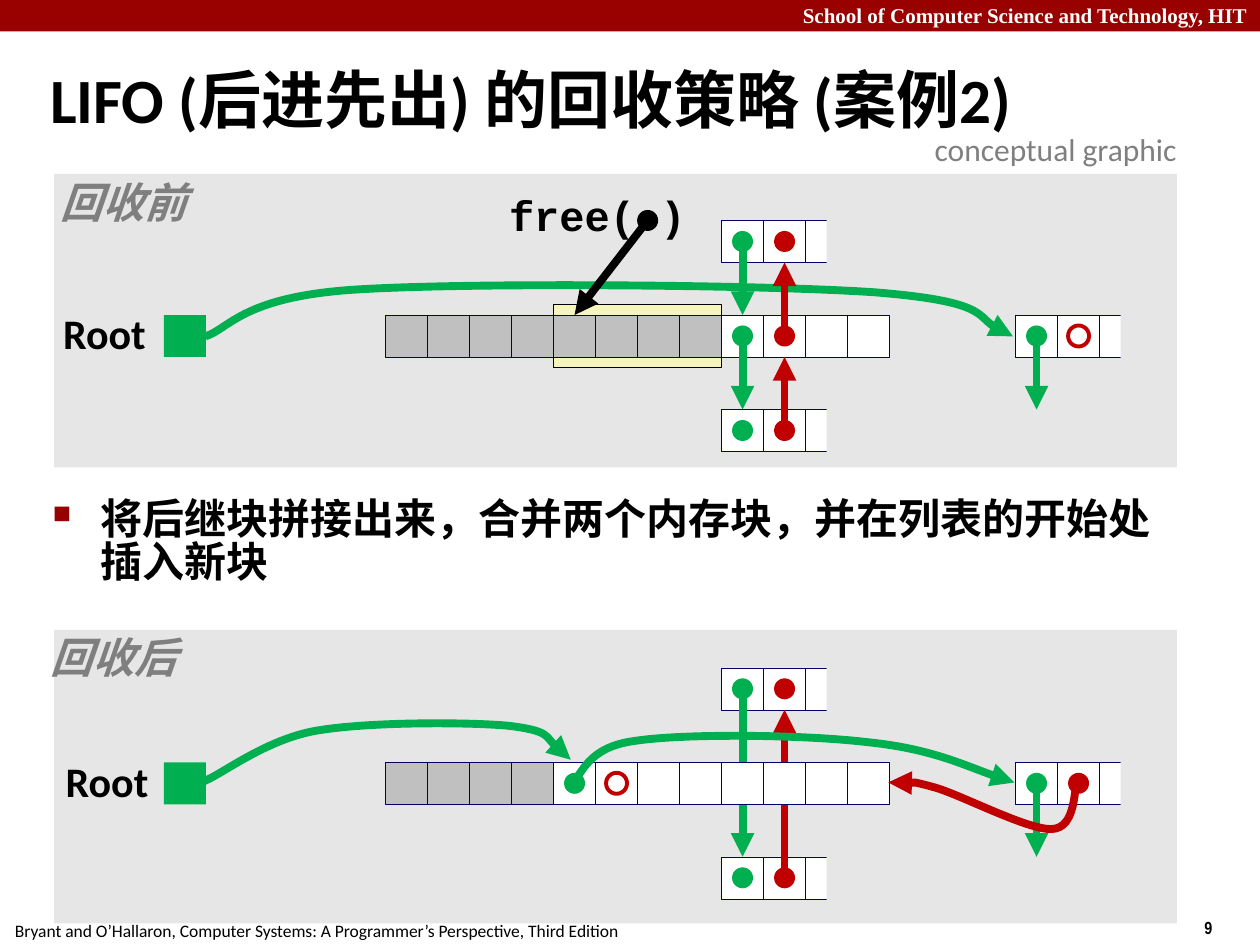
from dataclasses import dataclass

from lxml import etree
from pptx import Presentation
from pptx.dml.color import RGBColor
from pptx.enum.shapes import MSO_CONNECTOR, MSO_SHAPE
from pptx.enum.text import MSO_ANCHOR, PP_ALIGN
from pptx.oxml.ns import qn
from pptx.util import Inches, Pt

RECT, OVAL = MSO_SHAPE.RECTANGLE, MSO_SHAPE.OVAL
STRAIGHT = MSO_CONNECTOR.STRAIGHT
LEFT, CENTER, RIGHT = PP_ALIGN.LEFT, PP_ALIGN.CENTER, PP_ALIGN.RIGHT
TOP, BOTTOM = 0, 2  # connection sites of a rectangle


@dataclass(frozen=True)
class Theme:
    brand: str = "990000"
    panel: str = "E6E6E6"
    block: str = "F6F5BD"
    used: str = "C0C0C0"
    free: str = "FFFFFF"
    edge: str = "000066"
    next: str = "00B050"
    prev: str = "C00000"
    ink: str = "000000"
    muted: str = "7F7F7F"
    font: str = "Calibri"
    title: int = 36
    body: int = 24
    note: int = 18
    header: int = 12
    footer: int = 10
    arrow: float = 4.5


T = Theme()
W, H = 10, 7.5
CELL = 1 / 3
DOT = CELL / 2
GRID_LEFT = 3.06
LEVEL = 0.75      # distance between neighbouring rows of blocks
LIST_COL = 15     # first column of the old list head
NEXT_COL = 8      # first column of the following free block
ROOT_LEFT = 1.3


def rgb(color):
    return RGBColor.from_string(color)


def col_x(col):
    return GRID_LEFT + col * CELL


def style(sp, fill=None, line=None, width=0.25):
    sp.shadow.inherit = False
    if fill:
        sp.fill.solid()
        sp.fill.fore_color.rgb = rgb(fill)
    else:
        sp.fill.background()
    if line:
        sp.line.color.rgb = rgb(line)
        sp.line.width = Pt(width)
    else:
        sp.line.fill.background()
    return sp


def box(s, kind, x, y, w, h, *args):
    return style(s.shapes.add_shape(kind, Inches(x), Inches(y), Inches(w), Inches(h)), *args)


def cells(s, col, y, colors):
    return [box(s, RECT, col_x(col + i), y, CELL, CELL, color, T.edge)
            for i, color in enumerate(colors)]


def stub(s, col, y):
    """Three cells, the last one cut in half: a block that goes on."""
    row = cells(s, col, y, [T.free] * 3)
    box(s, RECT, col_x(col + 2.5), y - CELL / 4, CELL, CELL * 1.5, T.panel)
    return row


def center(col, y):
    return col_x(col + 0.5), y + CELL / 2


def dot(s, at, color, hollow=False):
    x, y = at
    paint = (None, color, 2.25) if hollow else (color,)
    box(s, OVAL, x - DOT / 2, y - DOT / 2, DOT, DOT, *paint)


def add_arrowhead(sp):
    etree.SubElement(sp.element.spPr.find(qn("a:ln")), qn("a:tailEnd"), type="triangle")


def arrow(s, start, end, color, target=None, site=TOP):
    cx = s.shapes.add_connector(STRAIGHT, *(Inches(v) for v in (*start, *end)))
    if target is not None:
        cx.end_connect(target, site)
    cx.line.color.rgb = rgb(color)
    cx.line.width = Pt(T.arrow)
    add_arrowhead(cx)
    etree.SubElement(cx.element.spPr, qn("a:effectLst"))


def pointer(s, start, target, site, color):
    """Arrow from a dot straight to the top or bottom of a cell."""
    y = target.top + (target.height if site == BOTTOM else 0)
    arrow(s, start, (start[0], y / Inches(1)), color, target, site)


def curve(s, points, color):
    """Cubic curve: a start, then two handles and an end for each piece."""
    start, *rest = [(Inches(x), Inches(y)) for x, y in points]
    fb = s.shapes.build_freeform(*start)
    fb.add_line_segments(rest, close=False)
    sp = style(fb.convert_to_shape(), None, color, T.arrow)
    path = next(sp.element.iter(qn("a:path")))
    steps = path.findall(qn("a:lnTo"))
    for i in range(0, len(steps), 3):
        bez = etree.SubElement(path, qn("a:cubicBezTo"))
        for step in steps[i:i + 3]:
            bez.append(step[0])
            path.remove(step)
    add_arrowhead(sp)


def text(s, words, x, y, w, h, size, color=T.ink, font=T.font, bold=False, italic=False,
         align=LEFT, spacing=None, inset=0.1, wrap=False):
    tf = s.shapes.add_textbox(Inches(x), Inches(y), Inches(w), Inches(h)).text_frame
    tf.word_wrap = wrap
    tf.margin_left = tf.margin_right = Inches(inset)
    p = tf.paragraphs[0]
    p.text = words
    p.alignment = align
    if spacing:
        p.line_spacing = spacing
    f = p.font
    f.size, f.name, f.bold, f.italic = Pt(size), font, bold, italic
    f.color.rgb = rgb(color)
    return tf


def label(s, words, x, y, w, **look):
    text(s, words, x, y, w, 0.46, T.body, bold=True, align=CENTER, spacing=0.9, inset=0.05, **look)


def hang(p, indent):
    pPr = p._p.get_or_add_pPr()
    pPr.set("marL", str(Inches(indent)))
    pPr.set("indent", str(-Inches(indent)))
    return pPr


def add_bullet(p, indent):
    pPr = hang(p, indent)
    clr, size, char = (etree.Element(qn(f"a:{tag}")) for tag in ("buClr", "buSzPct", "buChar"))
    etree.SubElement(clr, qn("a:srgbClr"), val=T.brand)
    size.set("val", "60000")
    char.set("char", "■")
    for el in (clr, size, char):
        pPr.find(qn("a:defRPr")).addprevious(el)


def frame(s):
    box(s, RECT, 0, 0, W, H / 30, T.brand)
    text(s, "School of Computer Science and Technology, HIT", 0, -0.03, W, 0.3, T.header,
         T.free, "Times New Roman", bold=True, align=RIGHT, wrap=True)
    text(s, "9", 9.46, 7.23, 0.75, 0.27, T.footer, font="Arial Narrow", bold=True)
    text(s, "Bryant and O’Hallaron, Computer Systems: A Programmer’s Perspective, Third Edition",
         0.02, 7.25, 5.01, 0.27, T.footer)


def wording(s):
    tf = text(s, "LIFO (后进先出) 的回收策略 (案例2)", 0.3, 0.39, 9.53, 0.86, T.title,
              bold=True, spacing=0.87, wrap=True)
    tf.vertical_anchor = MSO_ANCHOR.MIDDLE
    hang(tf.paragraphs[0], 0.13)
    tf = text(s, "将后继块拼接出来，合并两个内存块，并在列表的开始处插入新块", 0.32, 3.92, 9.09, 0.86,
              T.body, bold=True, spacing=0.85, wrap=True)
    tf.paragraphs[0].space_before = Pt(6)
    add_bullet(tf.paragraphs[0], 0.38)
    text(s, "conceptual graphic", 7.32, 0.98, 2.13, 0.4, T.note, T.muted)


def panel(s, y):
    box(s, RECT, 0.43, y, 8.91, 2.33, T.panel)


def neighbours(s, y):
    """Blocks above and below the following block, with their dots."""
    above, below = (stub(s, NEXT_COL, y + d) for d in (-LEVEL, LEVEL))
    for d in (-LEVEL, LEVEL):
        dot(s, center(NEXT_COL, y + d), T.next)
        dot(s, center(NEXT_COL + 1, y + d), T.prev)
    return above, below


def list_ends(s, y, root_x):
    """Root on the left and the old list head on the right."""
    box(s, RECT, ROOT_LEFT, y, CELL, CELL, T.next)
    label(s, "Root", root_x, y - 0.06, 0.76)
    stub(s, LIST_COL, y)
    start = center(LIST_COL, y)
    dot(s, start, T.next)
    arrow(s, start, (start[0], y + LEVEL), T.next)


def before(s, y):
    panel(s, 1.38)
    box(s, RECT, col_x(4), y - CELL / 4, 4 * CELL, CELL * 1.5, T.block, T.ink, 0.75)
    curve(s, [(1.63, 2.67), (1.82, 2.61), (1.92, 2.36), (2.8, 2.3), (3.69, 2.24), (6.06, 2.26),
              (6.94, 2.32), (7.81, 2.39), (7.81, 2.6), (8.04, 2.67)], T.next)
    heap = cells(s, 0, y, [T.used] * 8 + [T.free] * 4)
    above, below = neighbours(s, y)
    nxt, prv = center(NEXT_COL, y), center(NEXT_COL + 1, y)
    dot(s, nxt, T.next)
    dot(s, prv, T.prev)
    pointer(s, nxt, below[0], TOP, T.next)
    pointer(s, center(NEXT_COL, y - LEVEL), heap[NEXT_COL], TOP, T.next)
    pointer(s, center(NEXT_COL + 1, y + LEVEL), heap[NEXT_COL + 1], BOTTOM, T.prev)
    pointer(s, prv, above[1], BOTTOM, T.prev)
    list_ends(s, y, 0.45)
    dot(s, center(LIST_COL + 1, y), T.prev, hollow=True)
    label(s, "free( )", 3.99, 1.5, 1.5, font="Courier New")
    argument = (5.14, 1.75)
    dot(s, argument, T.ink)
    arrow(s, argument, (col_x(4.5), y), T.ink, heap[4], TOP)
    label(s, "回收前", 0.43, 1.4, 1.1, color=T.muted, italic=True)


def after(s, y):
    panel(s, 5)
    above, below = neighbours(s, y)
    pointer(s, center(NEXT_COL + 1, y + LEVEL), above[1], BOTTOM, T.prev)
    pointer(s, center(NEXT_COL, y - LEVEL), below[0], TOP, T.next)
    cells(s, 0, y, [T.used] * 4 + [T.free] * 8)
    dot(s, center(4, y), T.next)
    dot(s, center(5, y), T.prev, hollow=True)
    list_ends(s, y, 0.47)
    dot(s, center(LIST_COL + 1, y), T.prev)
    curve(s, [(4.54, 6.21), (4.62, 6.16), (4.65, 5.93), (5.04, 5.88), (5.43, 5.82), (6.38, 5.83),
              (6.88, 5.89), (7.38, 5.94), (7.81, 6.14), (8.05, 6.21)], T.next)
    curve(s, [(8.55, 6.21), (8.52, 6.27), (8.54, 6.57), (8.35, 6.58), (8.16, 6.59), (7.63, 6.31),
              (7.42, 6.25), (7.2, 6.19), (7.13, 6.22), (7.05, 6.21)], T.prev)
    curve(s, [(1.62, 6.2), (1.77, 6.14), (2.11, 5.87), (2.51, 5.8), (2.91, 5.73), (3.69, 5.73),
              (4.03, 5.76), (4.37, 5.8), (4.43, 5.97), (4.53, 6.03)], T.next)
    label(s, "回收后", 0.35, 5.01, 1.1, color=T.muted, italic=True)


def main():
    prs = Presentation()
    prs.slide_width, prs.slide_height = Inches(W), Inches(H)
    s = prs.slides.add_slide(prs.slide_layouts[6])
    before(s, 2.5)
    after(s, 6.05)
    wording(s)
    frame(s)
    prs.save("out.pptx")


if __name__ == "__main__":
    main()
